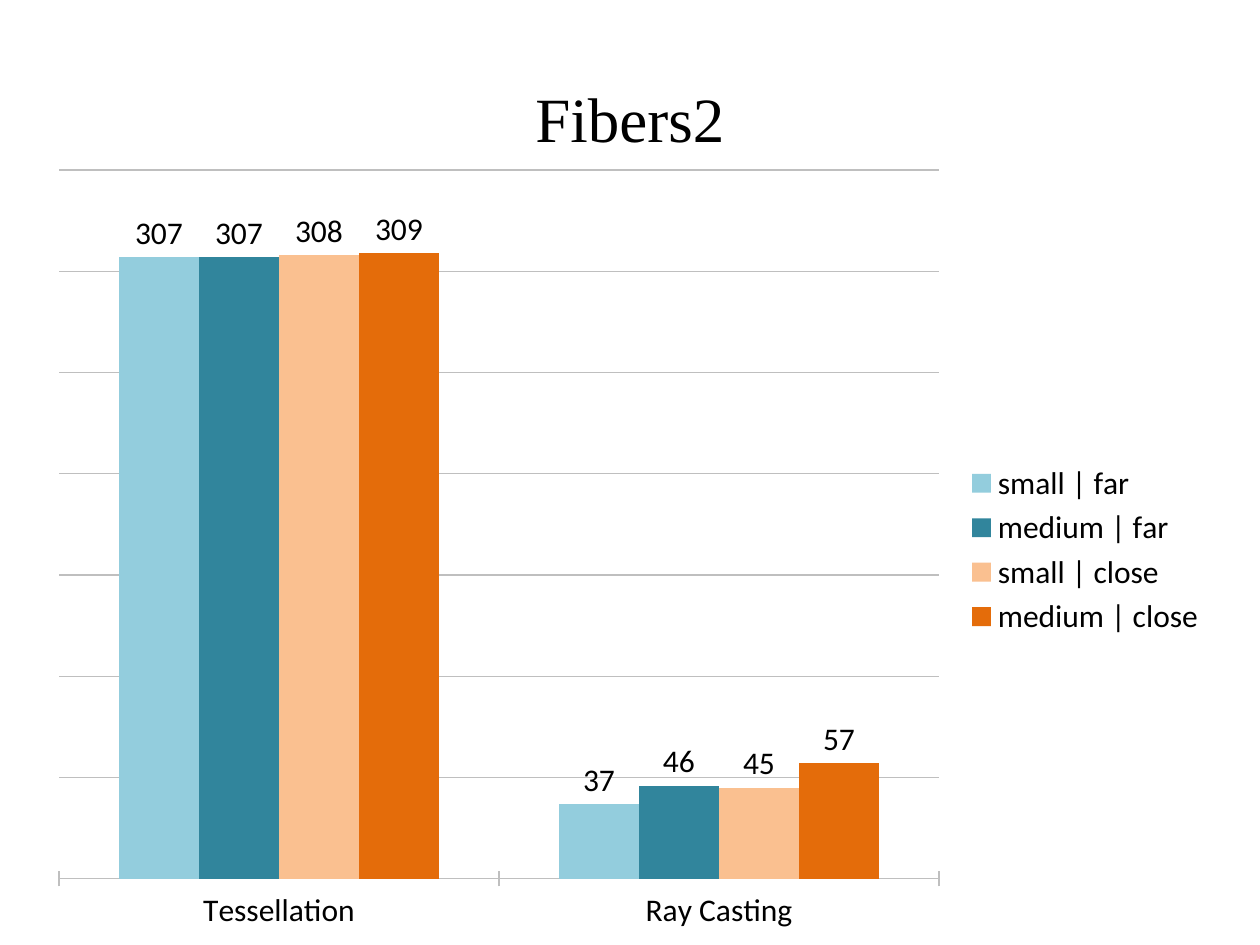
from dataclasses import dataclass

from lxml.etree import SubElement
from pptx import Presentation
from pptx.chart.chart import Chart
from pptx.chart.data import CategoryChartData
from pptx.dml.color import RGBColor
from pptx.dml.line import LineFormat
from pptx.enum.chart import XL_CHART_TYPE as ChartType
from pptx.enum.chart import XL_LABEL_POSITION as LabelPosition
from pptx.enum.chart import XL_LEGEND_POSITION as LegendPosition
from pptx.enum.chart import XL_TICK_LABEL_POSITION as TickLabelPosition
from pptx.enum.chart import XL_TICK_MARK as TickMark
from pptx.enum.text import MSO_ANCHOR as Anchor
from pptx.enum.text import PP_ALIGN as Align
from pptx.oxml.ns import qn
from pptx.slide import Slide
from pptx.util import Emu, Pt

EMU_PER_PIXEL = 914400 / 126
COLORS = {
    "text": "000000",
    "rule": "BFBFBF",
    "small far": "93CDDD",
    "medium far": "31859C",
    "small close": "FAC090",
    "medium close": "E46C0A",
}


@dataclass(frozen=True)
class Box:
    """A rectangle in pixels."""

    left: int
    top: int
    width: int
    height: int

    def emu(self) -> list[Emu]:
        """Return the four lengths in EMU."""
        return [px(v) for v in (self.left, self.top, self.width, self.height)]


@dataclass(frozen=True)
class Measurement:
    """One size and distance setting with its value per method."""

    name: str
    values: tuple[int, int]
    color: str
    compact_labels: bool = False


METHODS = ("Tessellation", "Ray Casting")
MEASUREMENTS = (
    Measurement("small | far", (307, 37), "small far"),
    Measurement("medium | far", (307, 46), "medium far"),
    Measurement("small | close", (308, 45), "small close"),
    Measurement("medium | close", (309, 57), "medium close", True),
)
TITLE_BOX = Box(63, 38, 1134, 158)
CHART_BOX = Box(35, 155, 1184, 790)
PLOT_BOX = Box(59, 170, 880, 709)


def px(pixels: int) -> Emu:
    """Turn pixels into EMU."""
    return Emu(round(pixels * EMU_PER_PIXEL))


def rgb(key: str) -> RGBColor:
    """Look up a named colour."""
    return RGBColor.from_string(COLORS[key])


def style_rule(line: LineFormat) -> None:
    """Give an axis or gridline its thin grey stroke."""
    line.color.rgb = rgb("rule")
    line.width = Pt(0.75)


def place_plot(chart: Chart, plot_box: Box, chart_box: Box) -> None:
    """Fix the inner plot area within the chart."""
    plot_area = chart.plots[0]._element.getparent()
    for old_layout in plot_area.findall(qn("c:layout")):
        plot_area.remove(old_layout)
    layout = SubElement(plot_area, qn("c:layout"))
    plot_area.insert(0, layout)
    manual = SubElement(layout, qn("c:manualLayout"))
    settings = {
        "layoutTarget": "inner",
        "xMode": "edge",
        "yMode": "edge",
        "x": (plot_box.left - chart_box.left) / chart_box.width,
        "y": (plot_box.top - chart_box.top) / chart_box.height,
        "w": plot_box.width / chart_box.width,
        "h": plot_box.height / chart_box.height,
    }
    for tag, value in settings.items():
        SubElement(manual, qn(f"c:{tag}")).set("val", str(value))


def add_title(slide: Slide, wording: str) -> None:
    """Add the centred slide title."""
    frame = slide.shapes.add_textbox(*TITLE_BOX.emu()).text_frame
    frame.word_wrap = True
    frame.vertical_anchor = Anchor.MIDDLE
    frame.text = wording
    paragraph = frame.paragraphs[0]
    paragraph.alignment = Align.CENTER
    font = paragraph.runs[0].font
    font.name, font.size = "Times New Roman", Pt(36)
    font.color.rgb = rgb("text")


def style_axes(chart: Chart) -> None:
    """Show the method axis and gridlines, and hide the value axis."""
    methods, values = chart.category_axis, chart.value_axis
    methods.major_tick_mark = TickMark.CROSS
    methods.tick_label_position = TickLabelPosition.LOW
    style_rule(methods.format.line)
    values.minimum_scale, values.maximum_scale, values.major_unit = 0, 350, 50
    values.has_major_gridlines = True
    style_rule(values.major_gridlines.format.line)
    values.visible = False


def add_timings(slide: Slide) -> None:
    """Add the clustered columns with legend and value labels."""
    data = CategoryChartData()
    data.categories = METHODS
    for measurement in MEASUREMENTS:
        data.add_series(measurement.name, measurement.values)
    chart = slide.shapes.add_chart(ChartType.COLUMN_CLUSTERED, *CHART_BOX.emu(), data).chart
    chart.has_title = False
    chart.font.name, chart.font.size = "Calibri", Pt(18)
    chart.font.color.rgb = rgb("text")
    chart.has_legend = True
    chart.legend.position = LegendPosition.RIGHT
    chart.legend.include_in_layout = False
    style_axes(chart)
    place_plot(chart, PLOT_BOX, CHART_BOX)
    plot = chart.plots[0]
    plot.gap_width, plot.overlap, plot.vary_by_categories = 150, 0, False
    for series, measurement in zip(plot.series, MEASUREMENTS):
        series.format.fill.solid()
        series.format.fill.fore_color.rgb = rgb(measurement.color)
        if measurement.compact_labels:
            for index in range(len(METHODS)):
                series.points[index].data_label.position = LabelPosition.OUTSIDE_END
        else:
            series.data_labels.show_value = True
            series.data_labels.position = LabelPosition.OUTSIDE_END


def main() -> None:
    """Build and save the slide."""
    deck = Presentation()
    deck.slide_width, deck.slide_height = px(1260), px(945)
    slide = deck.slides.add_slide(deck.slide_layouts[6])
    add_title(slide, "Fibers2")
    add_timings(slide)
    deck.save("out.pptx")


main()
